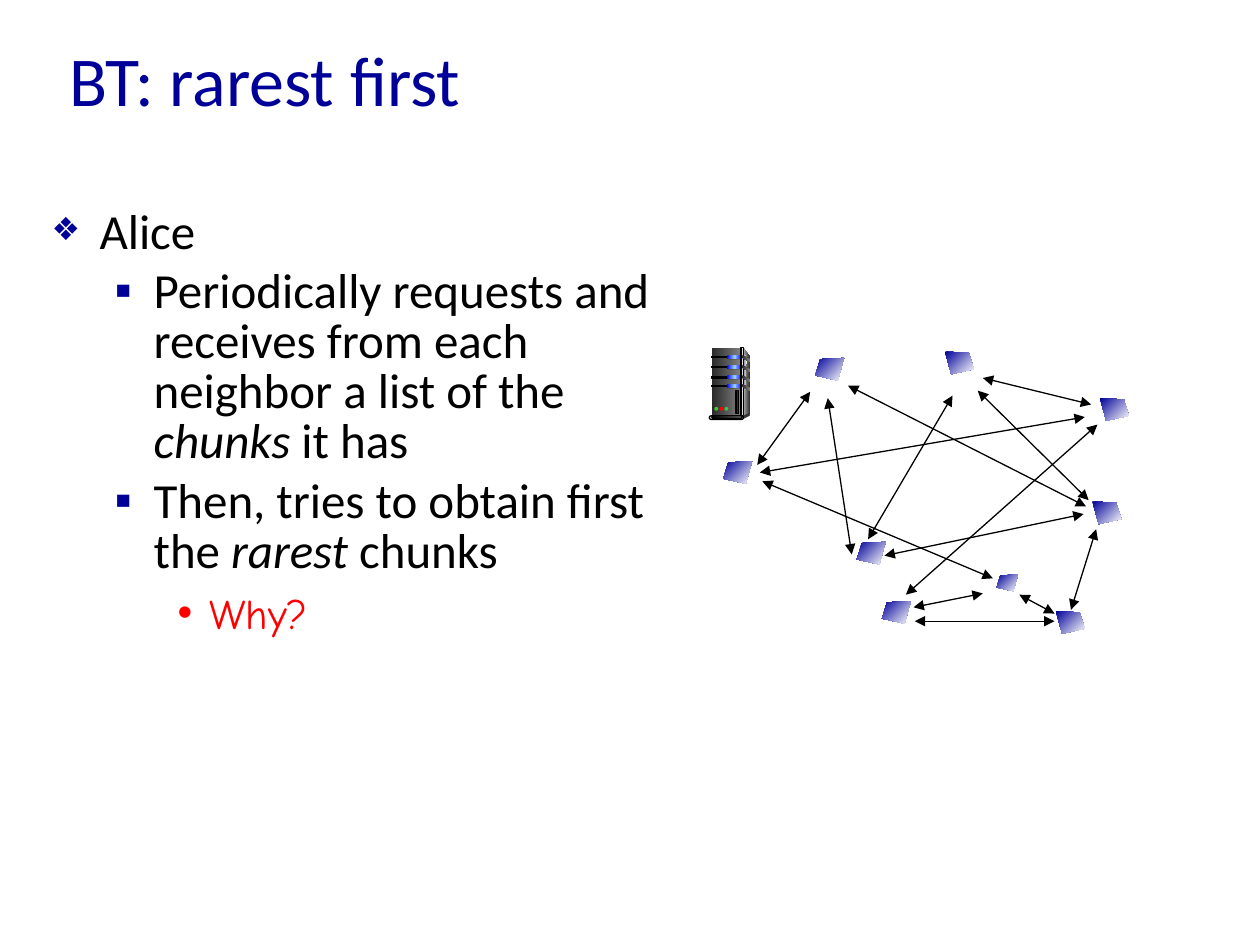
from copy import deepcopy
from dataclasses import dataclass

from lxml import etree
from pptx import Presentation
from pptx import util as u
from pptx.dml.color import RGBColor
from pptx.enum import shapes, text
from pptx.oxml import ns


@dataclass(frozen=True)
class Theme:
    """Colours, fonts and type sizes of the slide."""
    navy: str = "000099"
    black: str = "000000"
    red: str = "FF0000"
    green: str = "33CC33"
    steel: str = "333333"
    silver: str = "DDDDDD"
    panel: tuple = ("292929", "808080")
    side: tuple = ("DDDDDD", "333333")
    edge: tuple = ("808080", "F8F8F8")
    pillar: tuple = ("333333", "DDDDDD", "333333")
    light: tuple = ("0000FF", "99CCFF", "0000FF")
    plinth: tuple = ("000000", "808080")
    peer: tuple = ("000099", "FFFFFF")
    font: str = "Calibri"
    accent_font: str = "Comic Neue"
    title_size: int = 40
    body_size: int = 28
    note_size: int = 24
    line: float = 0.75


THEME = Theme()
RECT = shapes.MSO_SHAPE.RECTANGLE
ROUND = shapes.MSO_SHAPE.ROUNDED_RECTANGLE
OVAL = shapes.MSO_SHAPE.OVAL

BULLETS = [
    (0, 0.38, 0.38, "❖", 65, ["Alice"]),
    (1, 0.81, 0.31, "▪", 100,
     ["Periodically requests and receives from each neighbor a list of the ", "chunks ", "it has"]),
    (1, 0.81, 0.31, "▪", 100, ["Then, tries to obtain first the ", "rarest ", "chunks"]),
    (2, 1.25, 0.25, "•", 100, ["Why?"]),
]
LINKS = [
    (1.03, 0.36, 2.92, 1.32), (0.87, 0.46, 1.06, 1.7), (2.96, 0.51, 2.1, 0.3),
    (3.01, 0.67, 1.49, 2.02), (2.1, 2.01, 1.55, 2.12), (1.86, 0.44, 1.19, 1.58),
    (1.32, 1.71, 2.9, 1.38), (2.06, 0.4, 2.94, 1.27), (2.39, 2.02, 2.67, 2.17),
    (1.56, 2.23, 2.67, 2.23), (3, 1.5, 2.8, 2.14), (0.31, 0.99, 0.73, 0.41),
    (0.33, 1.05, 2.91, 0.61), (0.35, 1.12, 2.18, 1.89),
]
PEERS = [
    (1.3, 2.07, True, 1), (2.68, 2.15, False, 1), (2.97, 1.28, False, 1),
    (3.03, 0.46, False, 1), (1.8, 0.09, False, 1), (0.77, 0.14, True, 1),
    (0.04, 0.96, True, 1), (1.1, 1.6, True, 1), (2.21, 1.86, True, 0.74),
]


def assign(target, values):
    """Set each named attribute on the target."""
    for name, value in values.items():
        setattr(target, name, value)


def place(shape, box):
    """Move a shape to a box given in inches."""
    assign(shape, dict(zip(("left", "top", "width", "height"), map(u.Inches, box))))


def paint(shape, fill, outline=None, angle=0):
    """Give a shape a solid or gradient fill and an optional outline."""
    shape.shadow.inherit = False
    if isinstance(fill, str):
        shape.fill.solid()
        shape.fill.fore_color.rgb = RGBColor.from_string(fill)
    else:
        shape.fill.gradient()
        shape.fill.gradient_angle = angle
        stops = shape._element.spPr.find(".//" + ns.qn("a:gsLst"))
        for _ in fill[2:]:
            stops.append(deepcopy(stops[0]))
        for index, (stop, colour) in enumerate(zip(shape.fill.gradient_stops, fill)):
            stop.color.rgb = RGBColor.from_string(colour)
            stop.position = index / (len(fill) - 1)
    if outline:
        shape.line.color.rgb = RGBColor.from_string(outline)
        shape.line.width = u.Pt(THEME.line)
    else:
        shape.line.fill.background()


def add_preset(page, origin, kind, part, fill, outline=None):
    """Add a preset shape offset from an origin."""
    left, top, width, height = part
    box = (origin[0] + left, origin[1] + top, width, height)
    shape = page.shapes.add_shape(kind, *map(u.Inches, box))
    if kind == ROUND:
        shape.adjustments[0] = 0.5
    paint(shape, fill, outline)


def add_outline(page, origin, points, fill, angle=0):
    """Add a closed polygon offset from an origin."""
    corners = [(u.Inches(origin[0] + x), u.Inches(origin[1] + y)) for x, y in points]
    builder = page.shapes.build_freeform(*corners[0], scale=1.0)
    builder.add_line_segments(corners[1:], close=True)
    paint(builder.convert_to_shape(), fill, angle=angle)


def add_title(page, box):
    """Fill the title placeholder."""
    title = page.shapes.title
    place(title, box)
    title.text = "BT: rarest first"
    assign(title.text_frame, {"vertical_anchor": text.MSO_ANCHOR.MIDDLE,
                              "auto_size": text.MSO_AUTO_SIZE.NONE})
    para = title.text_frame.paragraphs[0]
    para.alignment = text.PP_ALIGN.LEFT
    assign(para.font, {"name": THEME.font, "size": u.Pt(THEME.title_size)})
    para.font.color.rgb = RGBColor.from_string(THEME.navy)


def set_bullet(para, indent, hang, mark, percent, colour):
    """Set the indents and the bullet of a paragraph."""
    props = para._p.get_or_add_pPr()
    props.set("marL", str(u.Inches(indent)))
    props.set("indent", str(-u.Inches(hang)))
    tint = etree.SubElement(props, ns.qn("a:buClr"))
    etree.SubElement(tint, ns.qn("a:srgbClr"), val=colour)
    etree.SubElement(props, ns.qn("a:buSzPct"), val=str(percent * 1000))
    etree.SubElement(props, ns.qn("a:buChar"), char=mark)


def add_body(page, box):
    """Fill the body placeholder with the bulleted list."""
    body = page.placeholders[1]
    place(body, box)
    frame = body.text_frame
    assign(frame, {"word_wrap": True, "auto_size": text.MSO_AUTO_SIZE.NONE})
    for index, (level, indent, hang, mark, percent, pieces) in enumerate(BULLETS):
        para = frame.add_paragraph() if index else frame.paragraphs[0]
        note = level == 2
        para.level = level
        set_bullet(para, indent, hang, mark, percent, THEME.red if note else THEME.navy)
        if not index:
            para.space_before = u.Pt(0)
        if not note:
            para.line_spacing = 0.85
        style = {"name": THEME.accent_font if note else THEME.font,
                 "size": u.Pt(THEME.note_size if note else THEME.body_size)}
        for order, piece in enumerate(pieces):
            span = para.add_run()
            span.text = piece
            assign(span.font, {**style, "italic": order == 1})
            span.font.color.rgb = RGBColor.from_string(THEME.red if note else THEME.black)


def add_link(page, origin, ends):
    """Add a line with an arrowhead at both ends."""
    points = [u.Inches(value + origin[i % 2]) for i, value in enumerate(ends)]
    link = page.shapes.add_connector(shapes.MSO_CONNECTOR.STRAIGHT, *points)
    link.line.color.rgb = RGBColor.from_string(THEME.black)
    link.line.width = u.Pt(THEME.line)
    for end in ("a:headEnd", "a:tailEnd"):
        etree.SubElement(link.line._get_or_add_ln(), ns.qn(end), type="triangle")
    etree.SubElement(link._element.spPr, ns.qn("a:effectLst"))


def add_network(page, box):
    """Draw the peers and the links between them."""
    for ends in LINKS:
        add_link(page, box, ends)
    tile = [(0, 0), (0.19, 0.01), (0.23, 0.14), (0.05, 0.18)]
    for left, top, mirrored, scale in PEERS:
        points = [((0.23 - x if mirrored else x) * scale, y * scale) for x, y in tile]
        add_outline(page, (box[0] + left, box[1] + top), points, THEME.peer, angle=315)


def add_server(page, box):
    """Draw the tower server."""
    bays = (0.06, 0.14, 0.22, 0.29)
    add_outline(page, box, [(0.27, 0), (0.32, 0.07), (0.32, 0.52), (0.25, 0.54)], THEME.side)
    add_preset(page, box, RECT, (0.02, 0, 0.23, 0.54), THEME.panel)
    add_outline(page, box, [(0.27, 0.04), (0.3, 0.08), (0.27, 0.53)], THEME.edge)
    for top in bays:
        add_preset(page, box, RECT, (0.02, top + 0.01, 0.13, 0.01), THEME.black, THEME.black)
        add_preset(page, box, ROUND, (0.14, top, 0.13, 0.03), THEME.black)
        add_preset(page, box, ROUND, (0.14, top, 0.12, 0.03), THEME.light)
    add_preset(page, box, RECT, (0.25, 0, 0.02, 0.54), THEME.pillar, THEME.black)
    for top in bays:
        vent = [(0.26, top), (0.32, top + 0.03), (0.32, top + 0.05), (0.26, top + 0.02)]
        add_outline(page, box, vent, THEME.panel)
    add_preset(page, box, OVAL, (0.31, 0.52, 0.01, 0.02), THEME.steel)
    add_outline(page, box, [(0.26, 0.54), (0.26, 0.57), (0.32, 0.54), (0.32, 0.52)], THEME.steel)
    add_preset(page, box, ROUND, (0, 0.54, 0.27, 0.03), THEME.silver, THEME.black)
    add_preset(page, box, ROUND, (0.02, 0.54, 0.24, 0.02), THEME.plinth, THEME.black)
    for index, colour in enumerate((THEME.green, THEME.red, THEME.green)):
        add_preset(page, box, OVAL, (0.04 + 0.04 * index, 0.47, 0.03, 0.03), colour)
    add_preset(page, box, RECT, (0.21, 0.34, 0.02, 0.18), THEME.panel[0], THEME.black)


def main():
    """Build and save the deck."""
    deck = Presentation()
    assign(deck, {"slide_width": u.Inches(10), "slide_height": u.Inches(7.5)})
    page = deck.slides.add_slide(deck.slide_layouts[1])
    add_body(page, (0.31, 1.61, 5.04, 3.59))
    add_title(page, (0.45, 0, 8.5, 1.25))
    add_network(page, (5.7, 2.7, 3.3, 2.4))
    add_server(page, (5.63, 2.76, 0.32, 0.57))
    deck.save("out.pptx")


if __name__ == "__main__":
    main()
